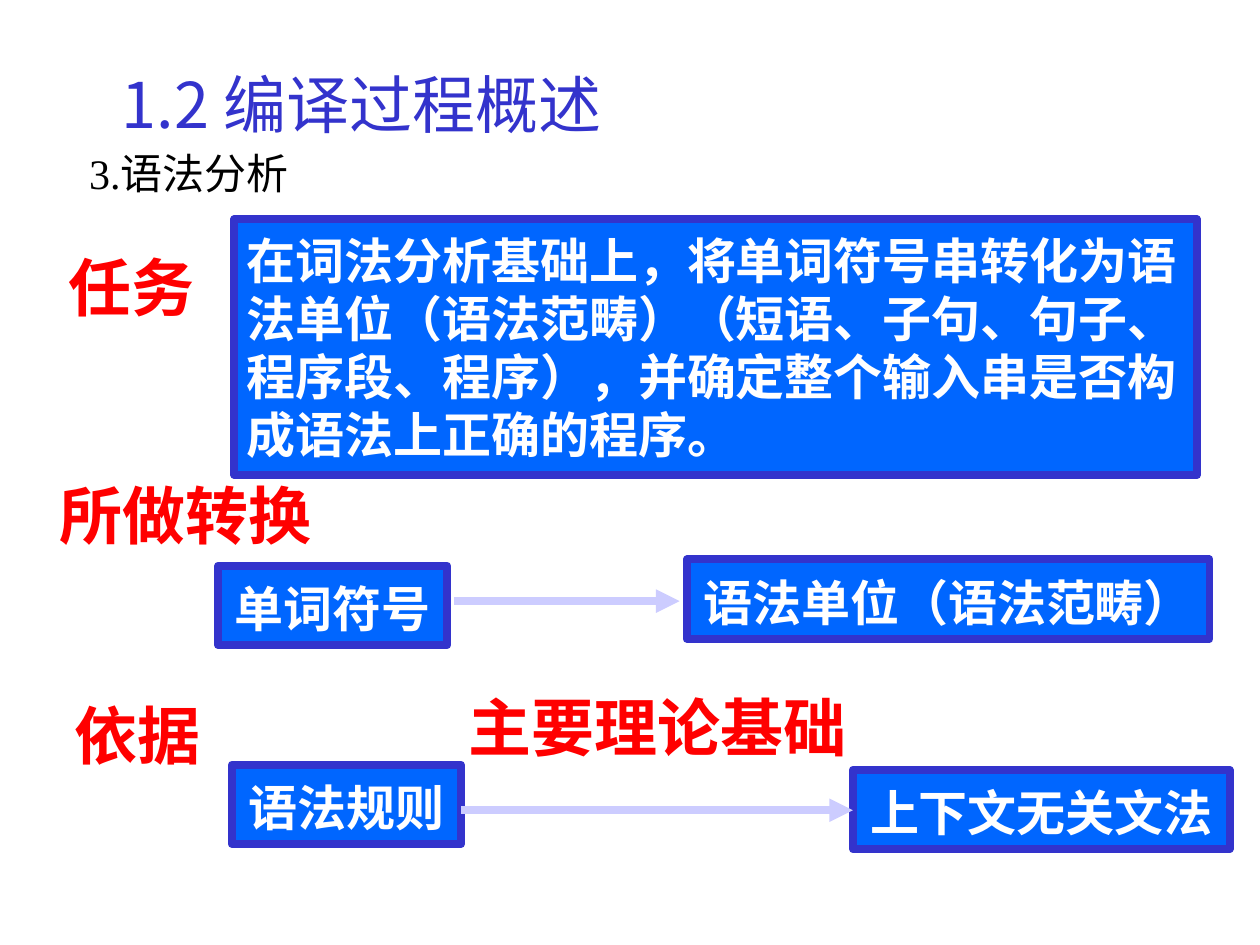
from dataclasses import dataclass

from lxml import etree
from pptx import Presentation
from pptx import util as u
from pptx.dml.color import RGBColor
from pptx.enum import shapes, text
from pptx.oxml import ns

Pt = u.Pt


@dataclass(frozen=True)
class Theme:
    sans: str = "Noto Sans CJK SC"
    serif: str = "Times New Roman"
    blue: str = "3333CC"
    panel: str = "0066FF"
    arrow: str = "CCCCFF"
    red: str = "FF0000"
    white: str = "FFFFFF"
    black: str = "000000"
    heading_size: float = 36
    body_size: float = 28
    sub_size: float = 24
    stroke: float = 4.5
    single_leading: float = 1.3
    body_leading: float = 1.19


THEME = Theme()


def rgb(value):
    return RGBColor.from_string(value)


def write(shape, words, size, color, bold=True, font=THEME.sans,
          align=text.PP_ALIGN.CENTER, anchor=text.MSO_ANCHOR.MIDDLE,
          wrap=False, leading=THEME.single_leading):
    frame = shape.text_frame
    frame.word_wrap = wrap
    frame.vertical_anchor = anchor
    paragraph = frame.paragraphs[0]
    paragraph.alignment = align
    paragraph.line_spacing = Pt(round(size * leading, 1))
    run = paragraph.add_run()
    run.text = words
    run.font.size = Pt(size)
    run.font.bold = bold
    run.font.name = font
    run.font.color.rgb = rgb(color)
    east_asian = etree.SubElement(run.font._element, ns.qn("a:ea"))
    east_asian.set("typeface", THEME.sans)


def label(slide, box, words, size=THEME.heading_size, color=THEME.red, **style):
    caption = slide.shapes.add_textbox(*map(Pt, box))
    write(caption, words, size, color, **style)


def panel(slide, box, words, **style):
    card = slide.shapes.add_shape(shapes.MSO_SHAPE.RECTANGLE, *map(Pt, box))
    card.shadow.inherit = False
    card.fill.solid()
    card.fill.fore_color.rgb = rgb(THEME.panel)
    card.line.color.rgb = rgb(THEME.blue)
    card.line.width = Pt(THEME.stroke)
    write(card, words, THEME.body_size, THEME.white, **style)


def arrow(slide, start, end, y):
    link = slide.shapes.add_connector(
        shapes.MSO_CONNECTOR.STRAIGHT, Pt(start), Pt(y), Pt(end), Pt(y))
    link.line.color.rgb = rgb(THEME.arrow)
    link.line.width = Pt(THEME.stroke)
    etree.SubElement(link.line._get_or_add_ln(), ns.qn("a:tailEnd"), type="triangle")
    etree.SubElement(link._element.spPr, ns.qn("a:effectLst"))


def header(slide, box, title, subtitle):
    left, top, width, height = box
    label(slide, (left, top, width, 36), title, color=THEME.blue, bold=False,
          anchor=text.MSO_ANCHOR.TOP)
    label(slide, (left + 7.2, top + height - 41, 154.8, 41), subtitle,
          size=THEME.sub_size, color=THEME.black, bold=False, font=THEME.serif,
          align=text.PP_ALIGN.LEFT, anchor=text.MSO_ANCHOR.TOP)


def task(slide, box, heading, description):
    left, top, width, height = box
    label(slide, (left, top + 11.5, 86.4, 50.4), heading)
    indent = 102.2
    panel(slide, (left + indent, top, width - indent, height), description,
          align=text.PP_ALIGN.LEFT, wrap=True, leading=THEME.body_leading)


def mapping(slide, box, source, target, source_drop, target_drop, target_width, gap):
    left, top, width, height = box
    source_width, card_height = 131, 45.4
    target_left = left + width - target_width
    panel(slide, (left, top + source_drop, source_width, card_height), source)
    panel(slide, (target_left, top + target_drop, target_width, card_height), target)
    arrow(slide, left + source_width + gap, target_left - gap, top + height / 2)


def main():
    deck = Presentation()
    deck.slide_width, deck.slide_height = Pt(720), Pt(540)
    slide = deck.slides.add_slide(deck.slide_layouts[6])

    header(slide, (36.7, 30.2, 339.8, 89.3), "1.2 编译过程概述", "3.语法分析")
    task(slide, (31.7, 125.3, 652.3, 146.2), "任务",
         "在词法分析基础上，将单词符号串转化为语法单位（语法范畴）"
         "（短语、子句、句子、程序段、程序），并确定整个输入串是否构成语法上正确的程序。")
    label(slide, (26.6, 267.1, 158.4, 50.4), "所做转换")
    mapping(slide, (124.6, 319.7, 566.6, 47.6), "单词符号", "语法单位（语法范畴）",
            source_drop=3.6, target_drop=0, target_width=298.8, gap=4)
    label(slide, (35.3, 392.4, 86.4, 50.4), "依据")
    label(slide, (260.6, 388.1, 230.4, 50.4), "主要理论基础")
    mapping(slide, (132.5, 437, 570.2, 52), "语法规则", "上下文无关文法",
            source_drop=0, target_drop=2.9, target_width=215.3, gap=0)

    deck.save("out.pptx")


if __name__ == "__main__":
    main()
